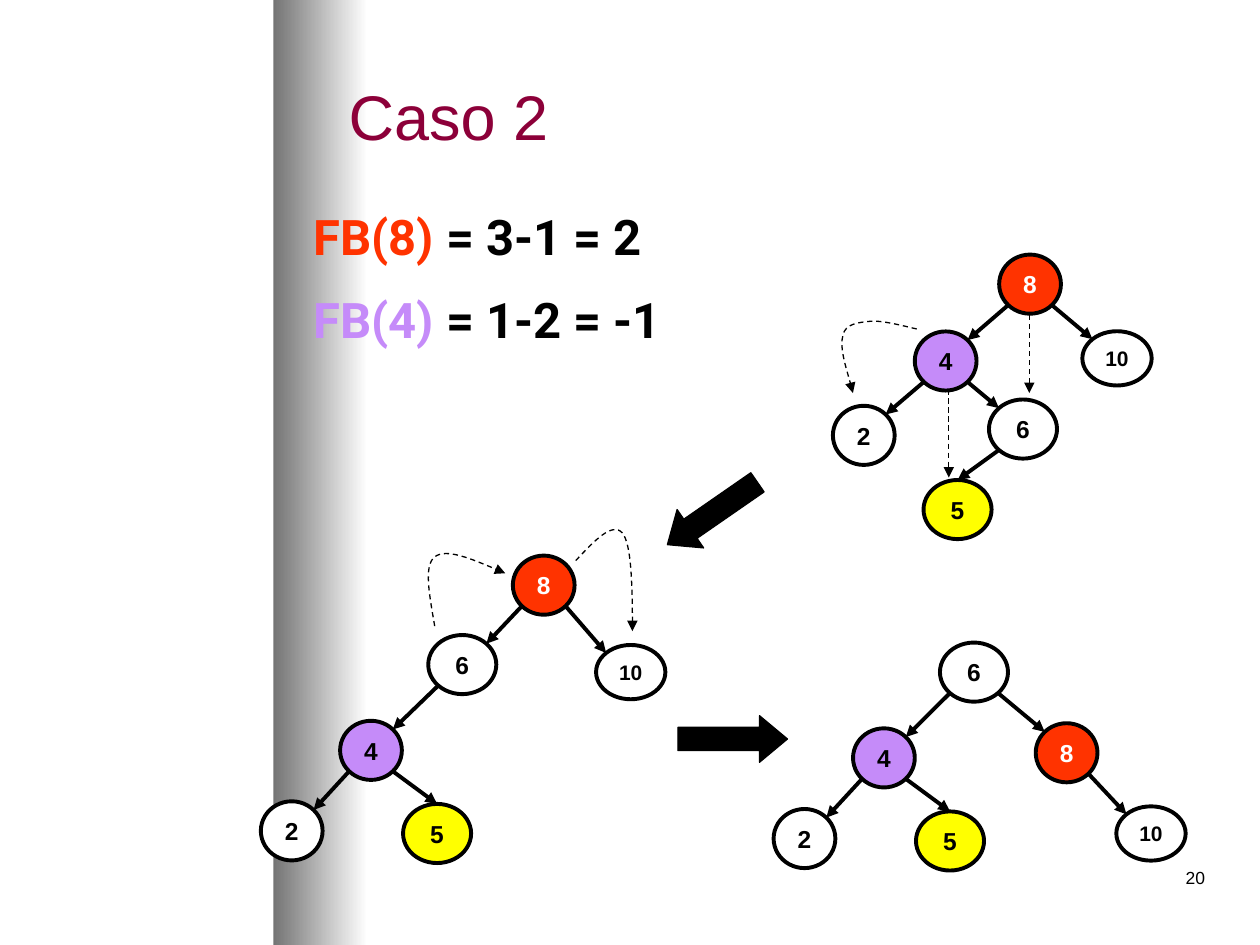
from dataclasses import dataclass
from math import sqrt

from pptx import Presentation
from pptx.dml.color import RGBColor
from pptx.enum.dml import MSO_LINE
from pptx.enum.shapes import MSO_CONNECTOR, MSO_SHAPE
from pptx.enum.text import MSO_ANCHOR, PP_ALIGN
from pptx.oxml import parse_xml
from pptx.oxml.ns import nsdecls, qn
from pptx.util import Pt

STRAIGHT, DASH = MSO_CONNECTOR.STRAIGHT, MSO_LINE.DASH
OVAL, RECTANGLE, ARROW = MSO_SHAPE.OVAL, MSO_SHAPE.RECTANGLE, MSO_SHAPE.RIGHT_ARROW
TOP, MIDDLE = MSO_ANCHOR.TOP, MSO_ANCHOR.MIDDLE
LEFT, CENTER, RIGHT = PP_ALIGN.LEFT, PP_ALIGN.CENTER, PP_ALIGN.RIGHT


@dataclass(frozen=True)
class Theme:
    black: RGBColor = RGBColor.from_string("000000")
    white: RGBColor = RGBColor.from_string("FFFFFF")
    gray: RGBColor = RGBColor.from_string("747474")
    wine: RGBColor = RGBColor.from_string("8C0039")
    red: RGBColor = RGBColor.from_string("FF3300")
    violet: RGBColor = RGBColor.from_string("C58BF9")
    yellow: RGBColor = RGBColor.from_string("FFFF00")
    font: str = "Arial"
    formula_font: str = "Roboto"
    title_size: float = 36
    formula_size: float = 28
    key_size: float = 14
    small_key_size: float = 12
    page_size: float = 10
    edge_width: float = 2.25
    thin_width: float = 0.75


THEME = Theme()

# key: width, height, fill, text colour, type size
NODE_STYLES = {
    8: (35.3, 33.8, THEME.red, THEME.white, THEME.key_size),
    4: (35.3, 33.8, THEME.violet, THEME.black, THEME.key_size),
    2: (35.3, 33.8, THEME.white, THEME.black, THEME.key_size),
    6: (38.9, 33.8, THEME.white, THEME.black, THEME.key_size),
    10: (39.6, 31, THEME.white, THEME.black, THEME.small_key_size),
    5: (38.9, 33.8, THEME.yellow, THEME.black, THEME.key_size),
}

# node centres by key, then (parent, child) edges
TREES = [
    ({8: (588.6, 162.4), 4: (540.4, 206.3), 2: (493.6, 248.8),
      6: (584.6, 245.2), 10: (638.3, 204.8), 5: (547.2, 291.2)},
     [(8, 4), (8, 10), (4, 2), (4, 6), (6, 5)]),
    ({8: (310.7, 334.4), 4: (212, 428.8), 2: (166.7, 474.8),
      6: (264.2, 379.8), 10: (360.4, 384.1), 5: (249.8, 476.3)},
     [(8, 6), (8, 10), (6, 4), (4, 2), (4, 5)]),
    ({8: (609.5, 430.2), 4: (505.1, 433.1), 2: (459.7, 479.2),
      6: (556.6, 384.1), 10: (657.7, 476.3), 5: (542.9, 480.6)},
     [(6, 4), (6, 8), (8, 10), (4, 2), (4, 5)]),
]

# start point, then three points for each Bézier segment
MOVE_CURVES = [
    [(523.8, 188), (519.8, 187.2), (504.7, 182.9), (497.5, 183.6),
     (490.3, 184.3), (483.1, 185), (481.7, 191.5),
     (479.5, 198.7), (486, 218.2), (487.4, 224.6)],
    [(329, 320.4), (339.8, 308.9), (349.9, 298.1), (355.7, 304.6),
     (360.7, 311), (361.4, 336.2), (361.4, 360.7)],
    [(248.4, 357.8), (245.5, 340.6), (241.9, 323.3), (248.4, 318.2),
     (254.9, 313.2), (272.2, 320.4), (288.7, 327.6)],
]
MOVE_LINES = [((542.2, 222.5), (542.2, 272.9)), ((588.2, 180), (588.2, 224.6))]


def add_text(page, bounds, text, size, color, align, anchor):
    box = page.shapes.add_textbox(*map(Pt, bounds))
    frame = box.text_frame
    frame.word_wrap = True
    frame.vertical_anchor = anchor
    paragraph = frame.paragraphs[0]
    paragraph.text = text
    paragraph.alignment = align
    style_font(paragraph.font, size, color)


def style_font(font, size, color, name=THEME.font, bold=False):
    font.name, font.size, font.bold = name, Pt(size), bold
    font.color.rgb = color


def add_formulas(page, bounds, formulas):
    """Write one equation a paragraph, its left side in the node's colour."""
    frame = page.shapes.add_textbox(*map(Pt, bounds)).text_frame
    frame.word_wrap = True
    for index, (name, value, color) in enumerate(formulas):
        paragraph = frame.add_paragraph() if index else frame.paragraphs[0]
        paragraph.line_spacing = 0.9
        paragraph.space_before = Pt(17.5)
        style_font(paragraph.font, THEME.formula_size, THEME.black, THEME.formula_font, True)
        for text, span_color in ((name, color), (value, THEME.black)):
            span = paragraph.add_run()
            span.text = text
            style_font(span.font, THEME.formula_size, span_color, THEME.formula_font, True)


def add_side_band(page):
    band = page.shapes.add_shape(RECTANGLE, Pt(156.2), Pt(0), Pt(54), Pt(540))
    band.shadow.inherit = False
    band.line.fill.background()
    band.fill.gradient()
    band.fill.gradient_angle = 0
    for stop, color in zip(band.fill.gradient_stops, (THEME.gray, THEME.white)):
        stop.color.rgb = color


def add_block_arrow(page, left, top, rotation=0):
    arrow = page.shapes.add_shape(ARROW, Pt(left), Pt(top), Pt(62.6), Pt(26.6))
    arrow.adjustments[0], arrow.adjustments[1] = 0.5, 0.6
    arrow.rotation = rotation
    arrow.shadow.inherit = False
    arrow.fill.solid()
    arrow.fill.fore_color.rgb = THEME.black
    arrow.line.color.rgb = THEME.black
    arrow.line.width = Pt(THEME.thin_width)


def add_node(page, key, center):
    width, height, fill, color, size = NODE_STYLES[key]
    x, y = center
    node = page.shapes.add_shape(
        OVAL, Pt(x - width / 2), Pt(y - height / 2), Pt(width), Pt(height))
    node.shadow.inherit = False
    node.fill.solid()
    node.fill.fore_color.rgb = fill
    node.line.color.rgb = THEME.black
    node.line.width = Pt(THEME.edge_width)
    frame = node.text_frame
    frame.margin_left = frame.margin_right = frame.margin_top = frame.margin_bottom = 0
    frame.word_wrap = False
    frame.vertical_anchor = MIDDLE
    paragraph = frame.paragraphs[0]
    paragraph.text = str(key)
    paragraph.alignment = CENTER
    style_font(paragraph.font, size, color, bold=True)


def style_arrow_line(shape, width, dashed):
    shape.line.color.rgb = THEME.black
    shape.line.width = Pt(width)
    if dashed:
        shape.line.dash_style = DASH
    line = shape.element.spPr.find(qn("a:ln"))
    line.append(parse_xml(f'<a:tailEnd {nsdecls("a")} type="triangle"/>'))


def add_arrow_line(page, start, end, width, dashed=False):
    line = page.shapes.add_connector(STRAIGHT, *map(Pt, (*start, *end)))
    style_arrow_line(line, width, dashed)
    line.element.spPr.append(parse_xml(f'<a:effectLst {nsdecls("a")}/>'))


def rim_point(key, center, across, down):
    """Return the diagonal point of a node's rim; across and down are -1 or 1."""
    width, height = NODE_STYLES[key][:2]
    return (center[0] + across * width / sqrt(8), center[1] + down * height / sqrt(8))


def add_tree(page, centers, edges):
    for key, center in centers.items():
        add_node(page, key, center)
    for parent, child in edges:
        side = 1 if centers[child][0] > centers[parent][0] else -1
        start = rim_point(parent, centers[parent], side, 1)
        end = rim_point(child, centers[child], -side, -1)
        if child == 5:  # the inserted key is entered from straight above
            x, y = centers[child]
            end = (x, y - NODE_STYLES[child][1] / 2)
        add_arrow_line(page, start, end, THEME.edge_width)


def add_move_curve(page, points):
    start, *rest = [(Pt(x), Pt(y)) for x, y in points]
    builder = page.shapes.build_freeform(*start)
    builder.add_line_segments(rest, close=False)
    curve = builder.convert_to_shape()
    segments = list(curve.element.iter(qn("a:lnTo")))
    for index in range(0, len(segments), 3):
        bezier = parse_xml(f'<a:cubicBezTo {nsdecls("a")}/>')
        segments[index].addprevious(bezier)
        for segment in segments[index:index + 3]:
            bezier.append(segment[0])
            segment.getparent().remove(segment)
    curve.shadow.inherit = False
    curve.fill.background()
    style_arrow_line(curve, THEME.thin_width, dashed=True)


def main():
    deck = Presentation()
    deck.slide_width, deck.slide_height = Pt(720), Pt(540)
    page = deck.slides.add_slide(deck.slide_layouts[6])
    add_side_band(page)
    add_text(page, (545.8, 491.8, 149.8, 36), "20", THEME.page_size, THEME.black, RIGHT, TOP)
    add_text(page, (192.2, 18, 504, 95.8), "Caso 2", THEME.title_size, THEME.wine, LEFT, MIDDLE)
    add_formulas(page, (172.1, 118.1, 283.7, 85.7), [
        ("FB(8)", " = 3-1 = 2", THEME.red),
        ("FB(4)", " = 1-2 = -1", THEME.violet),
    ])
    for centers, edges in TREES:
        add_tree(page, centers, edges)
    add_block_arrow(page, 387.4, 409)
    add_block_arrow(page, 375.8, 280.1, 145.3)
    for start, end in MOVE_LINES:
        add_arrow_line(page, start, end, THEME.thin_width, dashed=True)
    for points in MOVE_CURVES:
        add_move_curve(page, points)
    deck.save("out.pptx")


if __name__ == "__main__":
    main()
